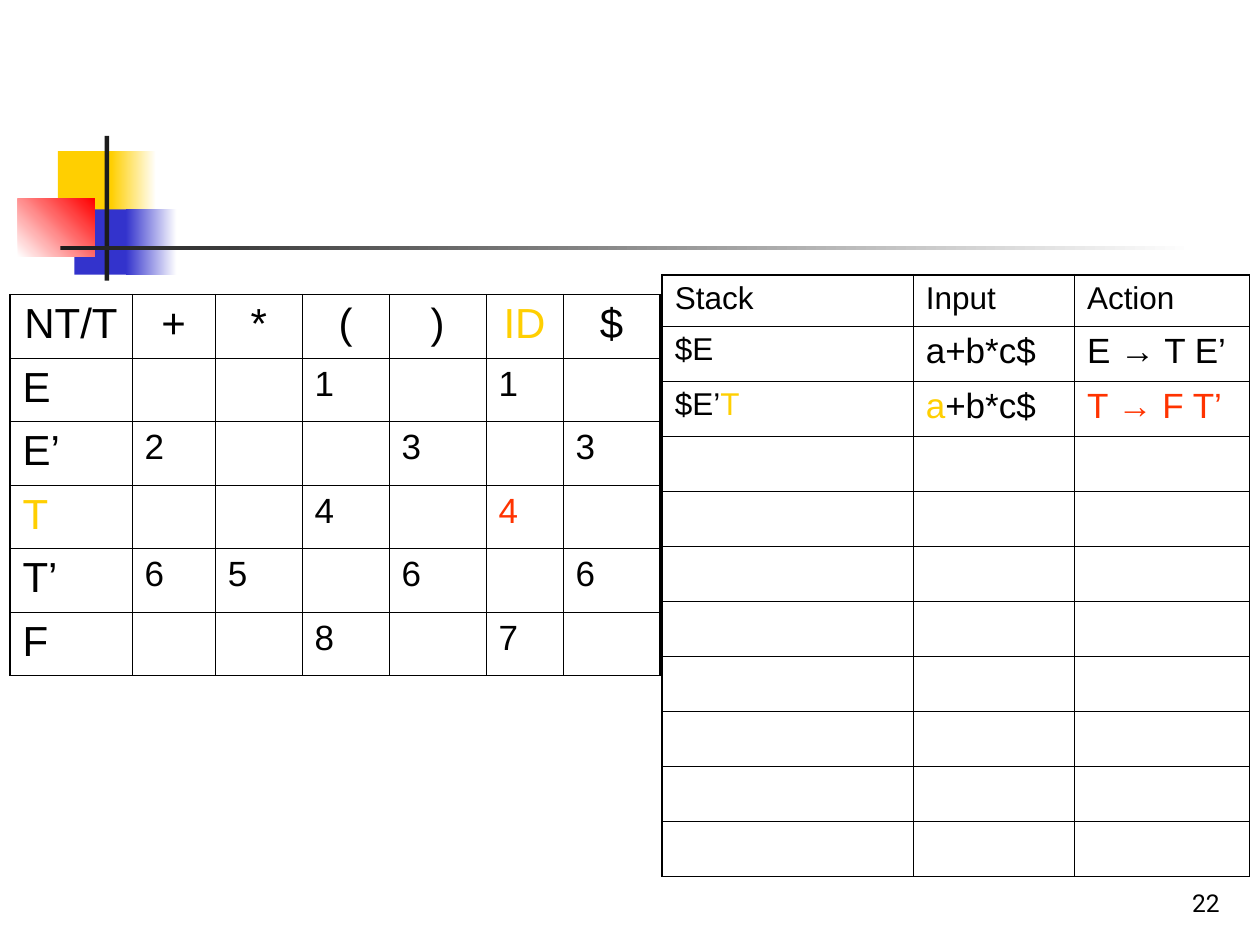
from dataclasses import dataclass
from typing import NamedTuple

from lxml.etree import SubElement
from pptx import Presentation
from pptx.dml.color import RGBColor
from pptx.enum.shapes import MSO_SHAPE as Preset
from pptx.enum.text import MSO_ANCHOR as Anchor, PP_ALIGN as Align
from pptx.oxml.ns import qn
from pptx.util import Cm, Pt

COLOURS = {
    "black": "000000",
    "white": "FFFFFF",
    "charcoal": "1C1C1C",
    "yellow": "FFCF01",
    "blue": "3333CC",
    "red": "FF0000",
    "orange": "FF3300",
}
THICK, THIN = 1.08, 0.45


class Run(NamedTuple):
    text: str
    colour: str = "black"


@dataclass
class Entry:
    runs: list[Run]
    size: int = 20
    align: Align = Align.LEFT
    font: str = "Arial"


@dataclass
class Block:
    left: float
    top: float
    width: float
    height: float
    colour: str
    fade_to: str = ""
    angle: int = 0


@dataclass
class Grid:
    left: float
    top: float
    columns: list[float]
    rows: list[float]
    entries: dict[tuple[int, int], Entry]


def rgb(name: str) -> RGBColor:
    return RGBColor.from_string(COLOURS[name])


def draw_block(slide, block: Block) -> None:
    place = (Cm(v) for v in (block.left, block.top, block.width, block.height))
    shape = slide.shapes.add_shape(Preset.RECTANGLE, *place)
    shape.shadow.inherit = False
    shape.line.fill.background()
    if block.fade_to:
        shape.fill.gradient()
        shape.fill.gradient_angle = block.angle
        for stop, name in zip(shape.fill.gradient_stops, (block.colour, block.fade_to)):
            stop.color.rgb = rgb(name)
    else:
        shape.fill.solid()
        shape.fill.fore_color.rgb = rgb(block.colour)


def write(frame, entry: Entry) -> None:
    paragraph = frame.paragraphs[0]
    paragraph.alignment = entry.align
    for text, colour in entry.runs:
        run = paragraph.add_run()
        run.text = text
        for attribute, value in {"size": Pt(entry.size), "name": entry.font}.items():
            setattr(run.font, attribute, value)
        run.font.color.rgb = rgb(colour)


def set_borders(cell, widths: dict[str, float]) -> None:
    properties = cell._tc.get_or_add_tcPr()
    for side, width in widths.items():
        line = SubElement(properties, qn(f"a:ln{side}"), w=str(Pt(width)))
        fill = SubElement(line, qn("a:solidFill"))
        SubElement(fill, qn("a:srgbClr"), val=COLOURS["black"])


def draw_grid(slide, grid: Grid) -> None:
    """Draw a ruled table with thick outer and thin inner lines."""
    last_row, last_column = len(grid.rows) - 1, len(grid.columns) - 1
    table = slide.shapes.add_table(
        last_row + 1, last_column + 1, Cm(grid.left), Cm(grid.top),
        Cm(sum(grid.columns)), Cm(sum(grid.rows)),
    ).table
    table.first_row = table.horz_banding = False
    for column, width in zip(table.columns, grid.columns):
        column.width = Cm(width)
    for r, height in enumerate(grid.rows):
        table.rows[r].height = Cm(height)
        for c in range(last_column + 1):
            cell = table.cell(r, c)
            outer = {"L": c == 0, "R": c == last_column, "T": r == 0, "B": r == last_row}
            set_borders(cell, {side: THICK if edge else THIN for side, edge in outer.items()})
            cell.fill.background()
            if (r, c) in grid.entries:
                write(cell.text_frame, grid.entries[r, c])


def parsing_entries() -> dict[tuple[int, int], Entry]:
    terminals = ["NT/T", "+", "*", "(", ")", "ID", "$"]
    productions = {
        "E": {"(": "1", "ID": "1"},
        "E’": {"+": "2", ")": "3", "$": "3"},
        "T": {"(": "4", "ID": "4"},
        "T’": {"+": "6", "*": "5", ")": "6", "$": "6"},
        "F": {"(": "8", "ID": "7"},
    }
    current = ("T", "ID")
    entries = {}
    for c, terminal in enumerate(terminals):
        colour = "yellow" if terminal in current else "black"
        entries[0, c] = Entry([Run(terminal, colour)], 24, Align.CENTER)
    for r, (nonterminal, rules) in enumerate(productions.items(), 1):
        colour = "yellow" if nonterminal in current else "black"
        entries[r, 0] = Entry([Run(nonterminal, colour)], 24)
        for terminal, rule in rules.items():
            colour = "orange" if (nonterminal, terminal) == current else "black"
            entries[r, terminals.index(terminal)] = Entry([Run(rule, colour)])
    return entries


def trace_entries() -> dict[tuple[int, int], Entry]:
    steps = [
        ([Run("Stack")], [Run("Input")], [Run("Action")]),
        ([Run("$E")], [Run("a+b*c$")], [Run("E → T E’")]),
        ([Run("$E’"), Run("T", "yellow")],
         [Run("a", "yellow"), Run("+b*c$")],
         [Run("T → F T’", "orange")]),
    ]
    return {
        (r, c): Entry(runs, 18 if r == 0 or c == 0 else 20)
        for r, step in enumerate(steps)
        for c, runs in enumerate(step)
    }


DECORATION = [
    Block(1.17, 3.05, 1.22, 1.32, "yellow"),
    Block(2.24, 3.05, 0.91, 1.32, "yellow", "white"),
    Block(1.5, 4.22, 1.17, 1.32, "blue"),
    Block(2.54, 4.22, 1.02, 1.32, "blue", "white"),
    Block(0.36, 4.01, 1.55, 1.17, "white", "red", 45),
    Block(2.11, 2.74, 0.09, 2.92, "charcoal"),
    Block(1.22, 4.95, 22.86, 0.09, "charcoal", "white"),
]
GRIDS = [
    Grid(0.2, 5.94, [2.46, 1.68, 1.75, 1.75, 1.96, 1.55, 1.96], [1.28] * 6,
         parsing_entries()),
    Grid(13.35, 5.54, [5.06, 3.25, 3.53], [1.03] + [1.11] * 10, trace_entries()),
]


def draw_page_number(slide) -> None:
    frame = slide.shapes.add_textbox(Cm(19.56), Cm(17.35), Cm(5.28), Cm(1.27)).text_frame
    for attribute, value in {"word_wrap": True, "vertical_anchor": Anchor.BOTTOM}.items():
        setattr(frame, attribute, value)
    write(frame, Entry([Run("22")], 14, Align.RIGHT, "Roboto"))


def main() -> None:
    deck = Presentation()
    deck.slide_width, deck.slide_height = Cm(25.4), Cm(19.05)
    slide = deck.slides.add_slide(deck.slide_layouts[6])
    for block in DECORATION:
        draw_block(slide, block)
    draw_page_number(slide)
    for grid in GRIDS:
        draw_grid(slide, grid)
    deck.save("out.pptx")


if __name__ == "__main__":
    main()
